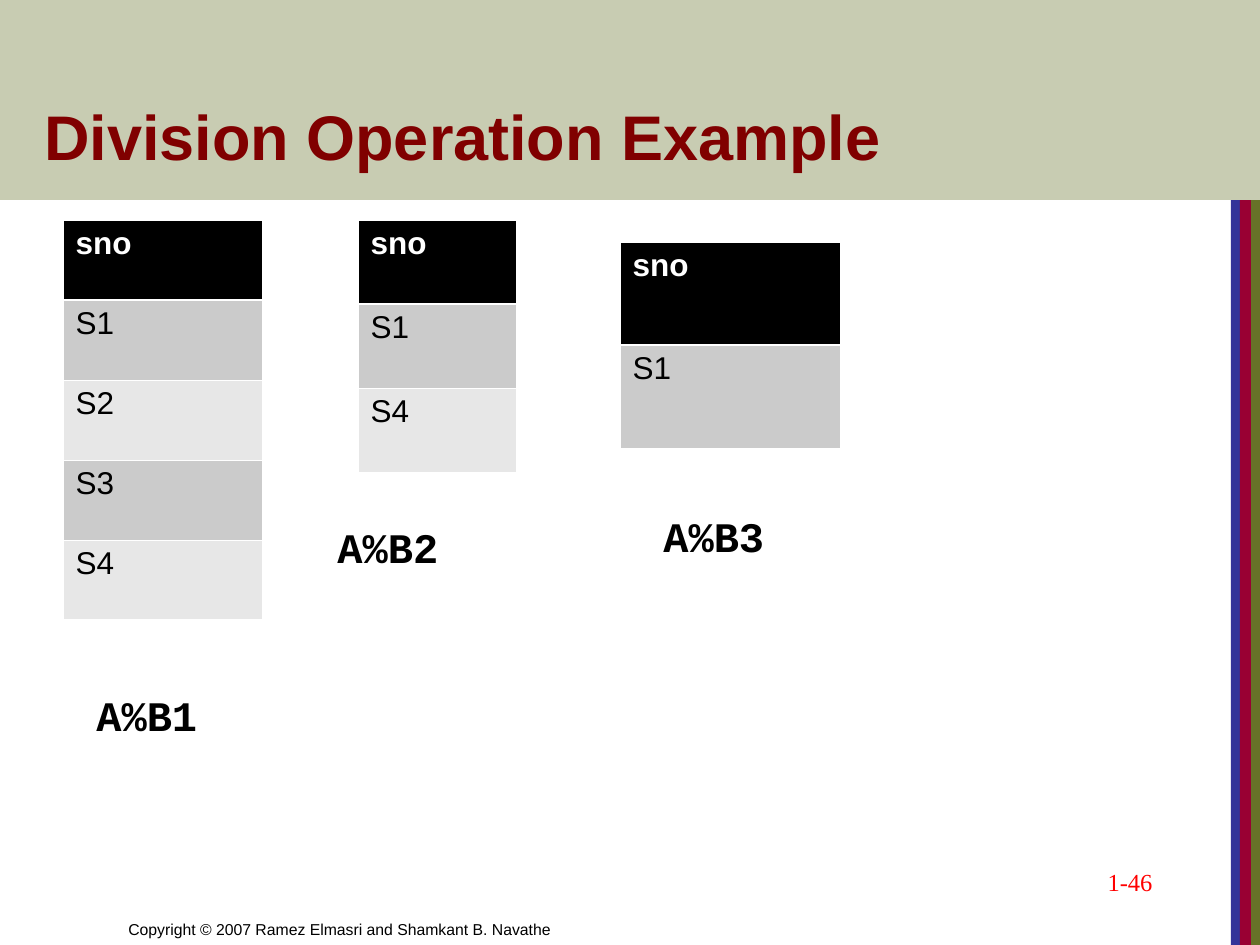
from lxml.etree import SubElement
from pptx import Presentation
from pptx.dml.color import RGBColor
from pptx.enum.shapes import MSO_SHAPE
from pptx.enum.text import MSO_ANCHOR, PP_ALIGN
from pptx.oxml.ns import qn
from pptx.util import Emu, Pt

OLIVE = RGBColor(0x67, 0x72, 0x28)
PALE_OLIVE = RGBColor(0xC8, 0xCC, 0xB2)
NAVY = RGBColor(0x33, 0x33, 0x99)
CRIMSON = RGBColor(0x99, 0x00, 0x33)
MAROON = RGBColor(0x80, 0x00, 0x00)
RED = RGBColor(0xFF, 0x00, 0x00)
BLACK = RGBColor(0x00, 0x00, 0x00)
WHITE = RGBColor(0xFF, 0xFF, 0xFF)
DARK_ROW = RGBColor(0xCB, 0xCB, 0xCB)
LIGHT_ROW = RGBColor(0xE7, 0xE7, 0xE7)

SLIDE_WIDTH, SLIDE_HEIGHT, BAND_HEIGHT = 1260, 945, 200
STRIPES = [(1246, 14, OLIVE), (1231, 11, NAVY), (1240, 11, CRIMSON)]
TITLE = ("Division Operation Example", (32, 42, 1075, 137))
COPYRIGHT = ("Copyright © 2007 Ramez Elmasri and Shamkant B. Navathe", (116, 882, 620, 63))
PAGE_NUMBER = ("1-46", (903, 861, 262, 63))
QUOTIENTS = [
    ("A%B1", (84, 683), (63, 220, 199, 80), ["sno", "S1", "S2", "S3", "S4"]),
    ("A%B2", (325, 515), (358, 220, 158, 84), ["sno", "S1", "S4"]),
    ("A%B3", (651, 504), (620, 242, 220, 103), ["sno", "S1"]),
]
LABEL_SIZE = (179, 63)
THIN, THICK = Pt(0.45), Pt(1.47)


def px(value):
    return Emu(round(value * 914400 / 126))


def style(paragraph, size, font_name, color, bold=False):
    paragraph.font.size = Pt(size)
    paragraph.font.name = font_name
    paragraph.font.color.rgb = color
    paragraph.font.bold = bold


def add_bar(slide, box, color):
    bar = slide.shapes.add_shape(MSO_SHAPE.RECTANGLE, *map(px, box))
    bar.shadow.inherit = False
    bar.fill.solid()
    bar.fill.fore_color.rgb = color
    bar.line.fill.background()


def add_text(slide, text, box, size, font_name, color, bold=False,
             anchor=MSO_ANCHOR.TOP, align=PP_ALIGN.LEFT):
    frame = slide.shapes.add_textbox(*map(px, box)).text_frame
    frame.word_wrap = True
    frame.vertical_anchor = anchor
    paragraph = frame.paragraphs[0]
    paragraph.text = text
    paragraph.alignment = align
    style(paragraph, size, font_name, color, bold)


def set_borders(cell, top, bottom):
    properties = cell._tc.get_or_add_tcPr()
    widths = {"a:lnL": THIN, "a:lnR": THIN, "a:lnT": top, "a:lnB": bottom}
    for tag, width in widths.items():
        line = SubElement(properties, qn(tag), w=str(int(width)))
        fill = SubElement(line, qn("a:solidFill"))
        SubElement(fill, qn("a:srgbClr"), val=str(WHITE))


def add_quotient_table(slide, box, values):
    left, top, width, row_height = box
    bounds = map(px, (left, top, width, row_height * len(values)))
    table = slide.shapes.add_table(len(values), 1, *bounds).table
    for index, value in enumerate(values):
        table.rows[index].height = px(row_height)
        header = index == 0
        cell = table.cell(index, 0)
        cell.text = value
        style(cell.text_frame.paragraphs[0], 18, "Arial", WHITE if header else BLACK, header)
        set_borders(cell, THICK if index == 1 else THIN, THICK if header else THIN)
        cell.fill.solid()
        cell.fill.fore_color.rgb = BLACK if header else (LIGHT_ROW, DARK_ROW)[index % 2]


def main():
    presentation = Presentation()
    presentation.slide_width = px(SLIDE_WIDTH)
    presentation.slide_height = px(SLIDE_HEIGHT)
    slide = presentation.slides.add_slide(presentation.slide_layouts[6])
    for left, width, color in STRIPES:
        add_bar(slide, (left, BAND_HEIGHT, width, SLIDE_HEIGHT - BAND_HEIGHT), color)
    add_bar(slide, (0, 0, SLIDE_WIDTH, BAND_HEIGHT), PALE_OLIVE)
    add_text(slide, *COPYRIGHT, 9, "Arial", BLACK, anchor=MSO_ANCHOR.BOTTOM)
    add_text(slide, *TITLE, 36, "Arial", MAROON, bold=True, anchor=MSO_ANCHOR.BOTTOM)
    add_text(slide, *PAGE_NUMBER, 14, "Times New Roman", RED, align=PP_ALIGN.RIGHT)
    for label, position, box, values in QUOTIENTS:
        add_quotient_table(slide, box, values)
        add_text(slide, label, position + LABEL_SIZE, 24, "Courier New", BLACK, bold=True)
    presentation.save("out.pptx")


if __name__ == "__main__":
    main()
